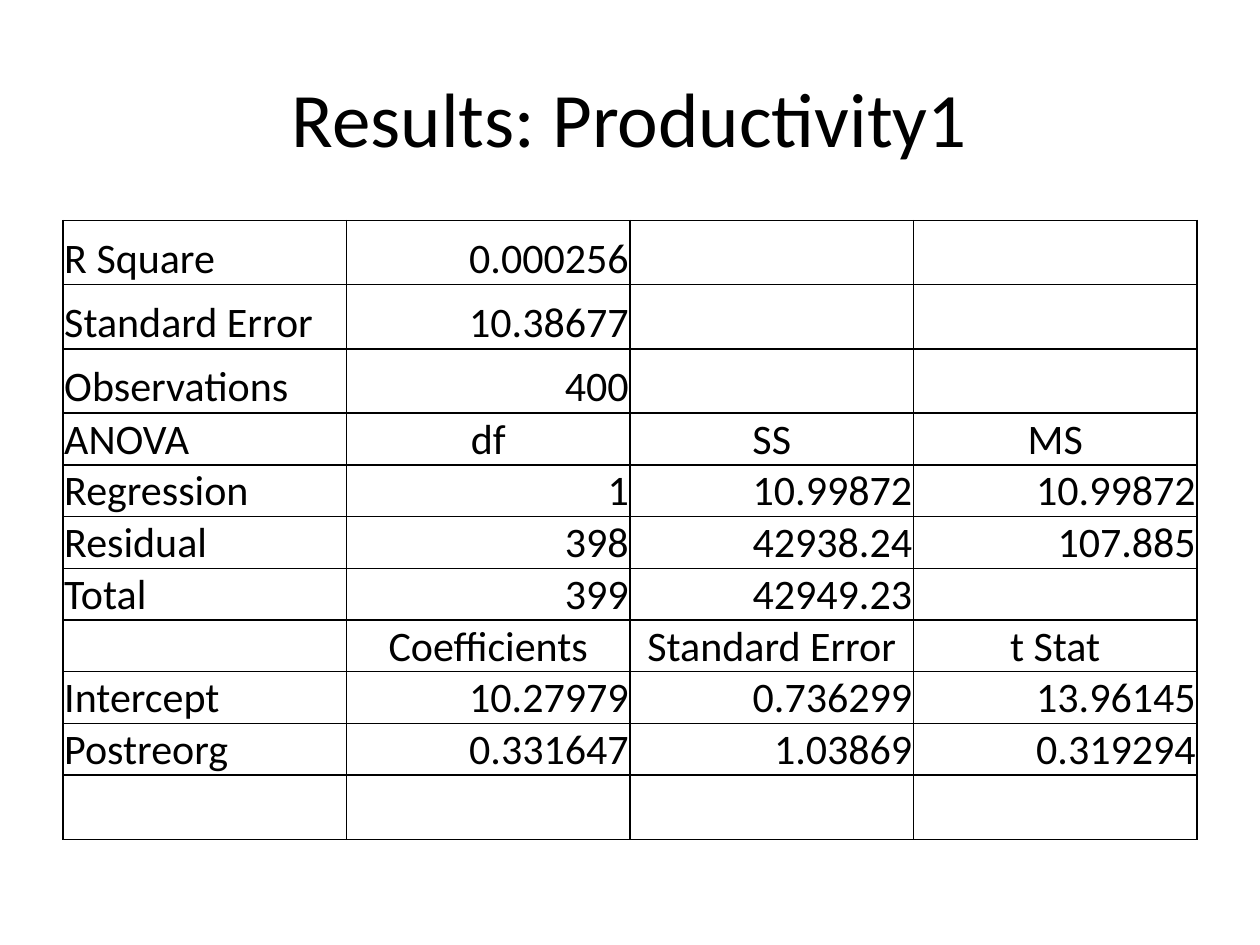
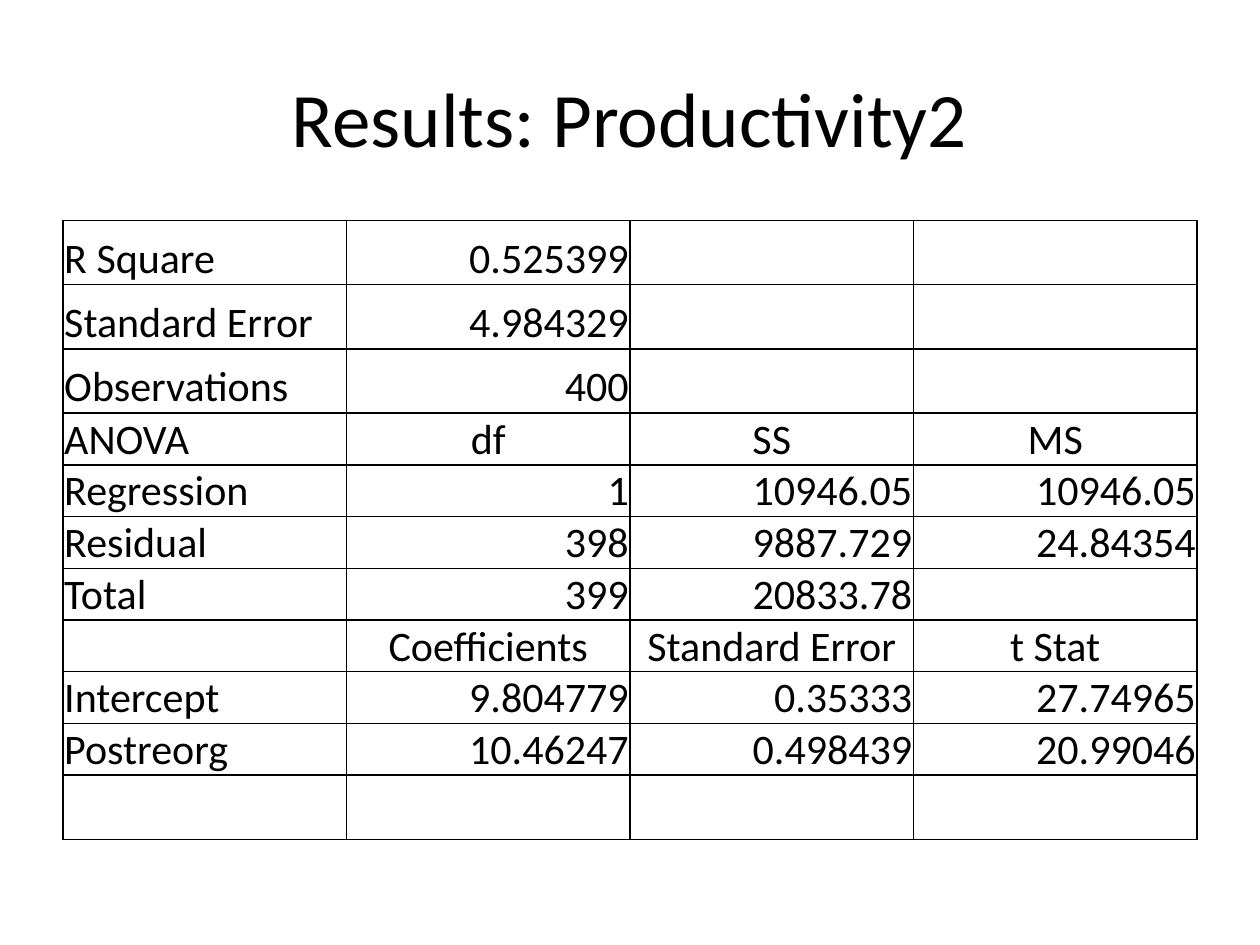
from dataclasses import dataclass

from lxml.etree import SubElement
from pptx import Presentation
from pptx.dml.color import RGBColor
from pptx.enum.text import MSO_ANCHOR as Anchor, PP_ALIGN as Align
from pptx.oxml.ns import qn
from pptx.util import Inches, Pt

BLACK = "000000"
WHITE = "FFFFFF"
FONT = "Calibri"
TITLE_SIZE = 44
CELL_SIZE = 24
LEFT, WIDTH = 0.5, 9
TITLE_TOP, TITLE_HEIGHT = 0.3, 1.25
TABLE_TOP = 1.75
ROW_HEIGHT, SUMMARY_HEIGHT = 0.41, 0.51
COLUMNS = 4
BORDER_SIDES = ("a:lnL", "a:lnR", "a:lnT", "a:lnB")
CELL_FORMAT = {
    "margin_left": Inches(0.01),
    "margin_right": Inches(0.01),
    "margin_top": Inches(0.01),
    "margin_bottom": 0,
    "vertical_anchor": Anchor.BOTTOM,
}
TITLE_FORMAT = {"word_wrap": True, "vertical_anchor": Anchor.MIDDLE}
PLAIN_TABLE = {"first_row": False, "horz_banding": False}


@dataclass(frozen=True)
class Regression:
    title: str
    r_square: str
    standard_error: str
    regression: tuple[str, ...]
    residual: tuple[str, ...]
    total: tuple[str, ...]
    intercept: tuple[str, ...]
    postreorg: tuple[str, ...]


@dataclass(frozen=True)
class Row:
    label: str = ""
    values: tuple[str, ...] = ()
    align: Align = Align.RIGHT
    height: float = ROW_HEIGHT


RESULTS = (
    Regression(
        title="Results: Productivity1",
        r_square="0.000256",
        standard_error="10.38677",
        regression=("1", "10.99872", "10.99872"),
        residual=("398", "42938.24", "107.885"),
        total=("399", "42949.23"),
        intercept=("10.27979", "0.736299", "13.96145"),
        postreorg=("0.331647", "1.03869", "0.319294"),
    ),
    Regression(
        title="Results: Productivity2",
        r_square="0.525399",
        standard_error="4.984329",
        regression=("1", "10946.05", "10946.05"),
        residual=("398", "9887.729", "24.84354"),
        total=("399", "20833.78"),
        intercept=("9.804779", "0.35333", "27.74965"),
        postreorg=("10.46247", "0.498439", "20.99046"),
    ),
)


def color(value: str) -> RGBColor:
    return RGBColor.from_string(value)


def apply_format(target, values: dict) -> None:
    for name, value in values.items():
        setattr(target, name, value)


def write(para, text: str, size: float, align: Align) -> None:
    para.alignment = align
    span = para.add_run()
    span.text = text
    apply_format(span.font, {"name": FONT, "size": Pt(size), "bold": False})
    span.font.color.rgb = color(BLACK)


def draw_title(page, text: str) -> None:
    box = page.shapes.add_textbox(
        Inches(LEFT), Inches(TITLE_TOP), Inches(WIDTH), Inches(TITLE_HEIGHT)
    )
    apply_format(box.text_frame, TITLE_FORMAT)
    write(box.text_frame.paragraphs[0], text, TITLE_SIZE, Align.CENTER)


def draw_borders(cell) -> None:
    properties = cell._tc.get_or_add_tcPr()
    for side in BORDER_SIDES:
        line = SubElement(properties, qn(side), w=str(Pt(1)))
        fill = SubElement(line, qn("a:solidFill"))
        SubElement(fill, qn("a:srgbClr"), val=BLACK)


def table_rows(result: Regression) -> list[Row]:
    return [
        Row("R Square", (result.r_square,), height=SUMMARY_HEIGHT),
        Row("Standard Error", (result.standard_error,), height=SUMMARY_HEIGHT),
        Row("Observations", ("400",), height=SUMMARY_HEIGHT),
        Row("ANOVA", ("df", "SS", "MS"), Align.CENTER),
        Row("Regression", result.regression),
        Row("Residual", result.residual),
        Row("Total", result.total),
        Row("", ("Coefficients", "Standard Error", "t Stat"), Align.CENTER),
        Row("Intercept", result.intercept),
        Row("Postreorg", result.postreorg),
        Row(height=SUMMARY_HEIGHT),
    ]


def draw_table(page, rows: list[Row]) -> None:
    height = sum(row.height for row in rows)
    table = page.shapes.add_table(
        len(rows), COLUMNS,
        Inches(LEFT), Inches(TABLE_TOP), Inches(WIDTH), Inches(height),
    ).table
    apply_format(table, PLAIN_TABLE)
    for row, table_row in zip(rows, table.rows):
        table_row.height = Inches(row.height)
        texts = (row.label, *row.values)
        for column, cell in enumerate(table_row.cells):
            apply_format(cell, CELL_FORMAT)
            draw_borders(cell)
            cell.fill.background()
            if column < len(texts) and texts[column]:
                align = row.align if column else Align.LEFT
                write(cell.text_frame.paragraphs[0], texts[column], CELL_SIZE, align)


def main() -> None:
    deck = Presentation()
    apply_format(deck, {"slide_width": Inches(10), "slide_height": Inches(7.5)})
    for result in RESULTS:
        page = deck.slides.add_slide(deck.slide_layouts[6])
        page.background.fill.solid()
        page.background.fill.fore_color.rgb = color(WHITE)
        draw_title(page, result.title)
        draw_table(page, table_rows(result))
    deck.save("out.pptx")


if __name__ == "__main__":
    main()
